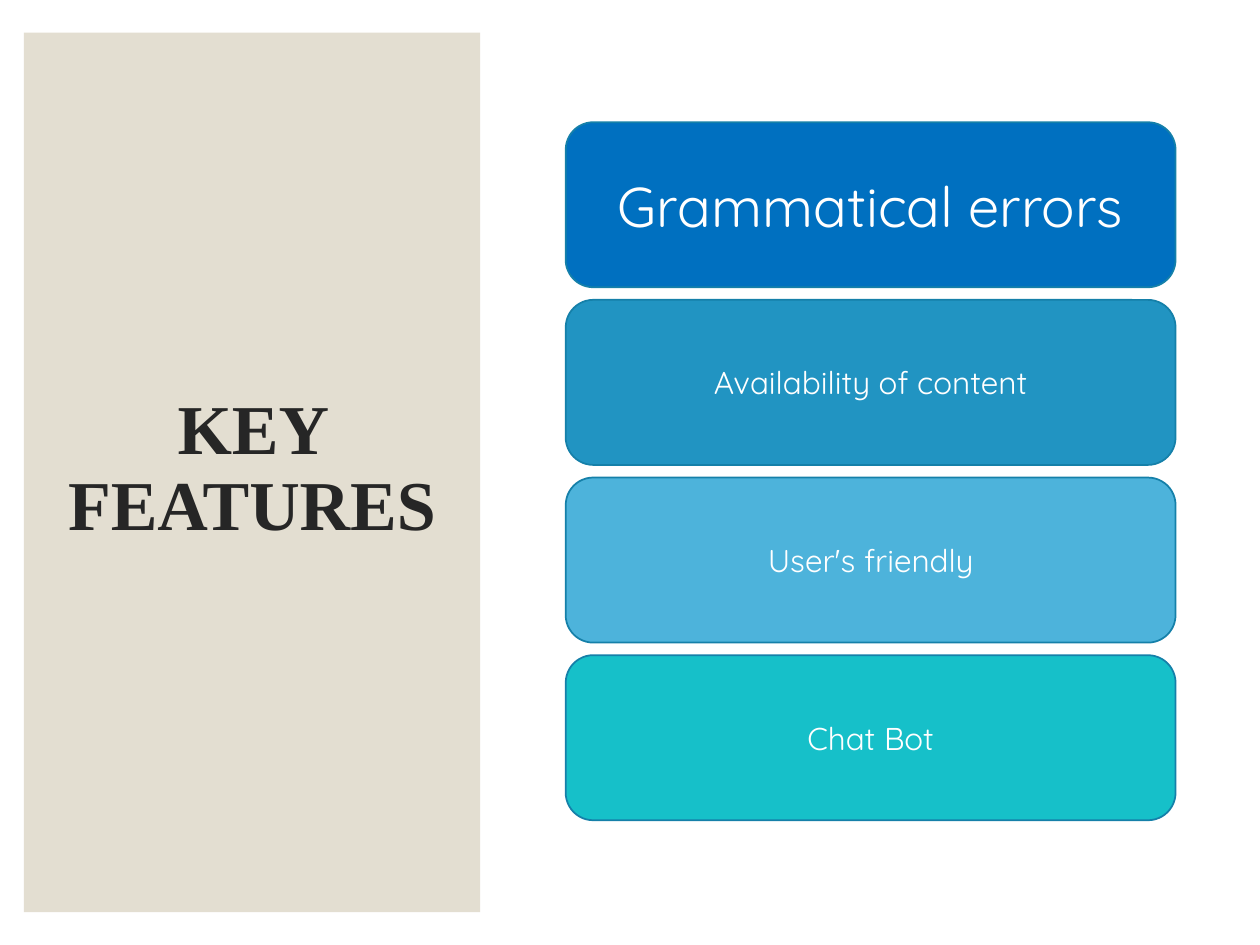
from dataclasses import dataclass

from pptx import Presentation
from pptx.dml.color import RGBColor
from pptx.enum.shapes import MSO_SHAPE
from pptx.enum.text import MSO_ANCHOR, MSO_AUTO_SIZE, PP_ALIGN
from pptx.shapes.autoshape import Shape
from pptx.slide import Slide
from pptx.text.text import TextFrame
from pptx.util import Inches, Pt

WHITE = RGBColor(0xFF, 0xFF, 0xFF)
SAND = RGBColor(0xE3, 0xDE, 0xD1)
CHARCOAL = RGBColor(0x26, 0x26, 0x26)
OUTLINE = RGBColor(0x15, 0x80, 0xA9)
ROYAL_BLUE = RGBColor(0x00, 0x70, 0xC0)
OCEAN_BLUE = RGBColor(0x21, 0x94, 0xC2)
SKY_BLUE = RGBColor(0x4D, 0xB3, 0xDB)
TURQUOISE = RGBColor(0x16, 0xC0, 0xC9)

SLIDE_WIDTH, SLIDE_HEIGHT = 10, 7.5
CARD_LEFT, CARD_TOP = 4.49, 0.97
CARD_WIDTH, CARD_HEIGHT = 4.84, 1.31
ROW_PITCH = 1.41


@dataclass(frozen=True)
class Box:
    left: float
    top: float
    width: float
    height: float

    def lengths(self) -> list[int]:
        return [Inches(value) for value in (self.left, self.top, self.width, self.height)]


@dataclass(frozen=True)
class Feature:
    label: str
    fill: RGBColor
    size: int = 18


FEATURES = (
    Feature("Grammatical errors", ROYAL_BLUE, 32),
    Feature("Availability of content", OCEAN_BLUE),
    Feature("User's friendly", SKY_BLUE),
    Feature("Chat Bot", TURQUOISE),
)


def add_filled_shape(slide: Slide, kind: MSO_SHAPE, box: Box, color: RGBColor) -> Shape:
    shape = slide.shapes.add_shape(kind, *box.lengths())
    shape.shadow.inherit = False
    shape.fill.solid()
    shape.fill.fore_color.rgb = color
    shape.line.fill.background()
    return shape


def write_text(frame: TextFrame, text: str, color: RGBColor, font_format: dict) -> None:
    frame.text = text
    frame.word_wrap = True
    frame.auto_size = MSO_AUTO_SIZE.NONE
    frame.vertical_anchor = MSO_ANCHOR.MIDDLE
    paragraph = frame.paragraphs[0]
    paragraph.alignment = PP_ALIGN.CENTER
    font = paragraph.runs[0].font
    for name, value in font_format.items():
        setattr(font, name, value)
    font.color.rgb = color


def add_title(slide: Slide) -> None:
    title = slide.shapes.title
    slide.shapes.element.append(title.element)
    title.left, title.top, title.width, title.height = Box(0.25, 0.61, 3.5, 6.24).lengths()
    write_text(title.text_frame, "KEY FEATURES", CHARCOAL,
               {"name": "Times New Roman", "size": Pt(40), "bold": True})
    title.text_frame.paragraphs[0].line_spacing = 0.9


def add_feature(slide: Slide, row: int, feature: Feature) -> None:
    box = Box(CARD_LEFT, CARD_TOP + row * ROW_PITCH, CARD_WIDTH, CARD_HEIGHT)
    card = add_filled_shape(slide, MSO_SHAPE.ROUNDED_RECTANGLE, box, feature.fill)
    card.line.color.rgb = OUTLINE
    card.line.width = Pt(1)
    write_text(card.text_frame, feature.label, WHITE,
               {"name": "Quicksand", "size": Pt(feature.size)})


def main() -> None:
    presentation = Presentation()
    presentation.slide_width = Inches(SLIDE_WIDTH)
    presentation.slide_height = Inches(SLIDE_HEIGHT)
    slide = presentation.slides.add_slide(presentation.slide_layouts.get_by_name("Title Only"))
    add_filled_shape(slide, MSO_SHAPE.RECTANGLE, Box(0, 0, SLIDE_WIDTH, SLIDE_HEIGHT), WHITE)
    add_filled_shape(slide, MSO_SHAPE.RECTANGLE, Box(0.19, 0.26, 3.62, 6.98), SAND)
    add_title(slide)
    for row, feature in enumerate(FEATURES):
        add_feature(slide, row, feature)
    presentation.save("out.pptx")


if __name__ == "__main__":
    main()
